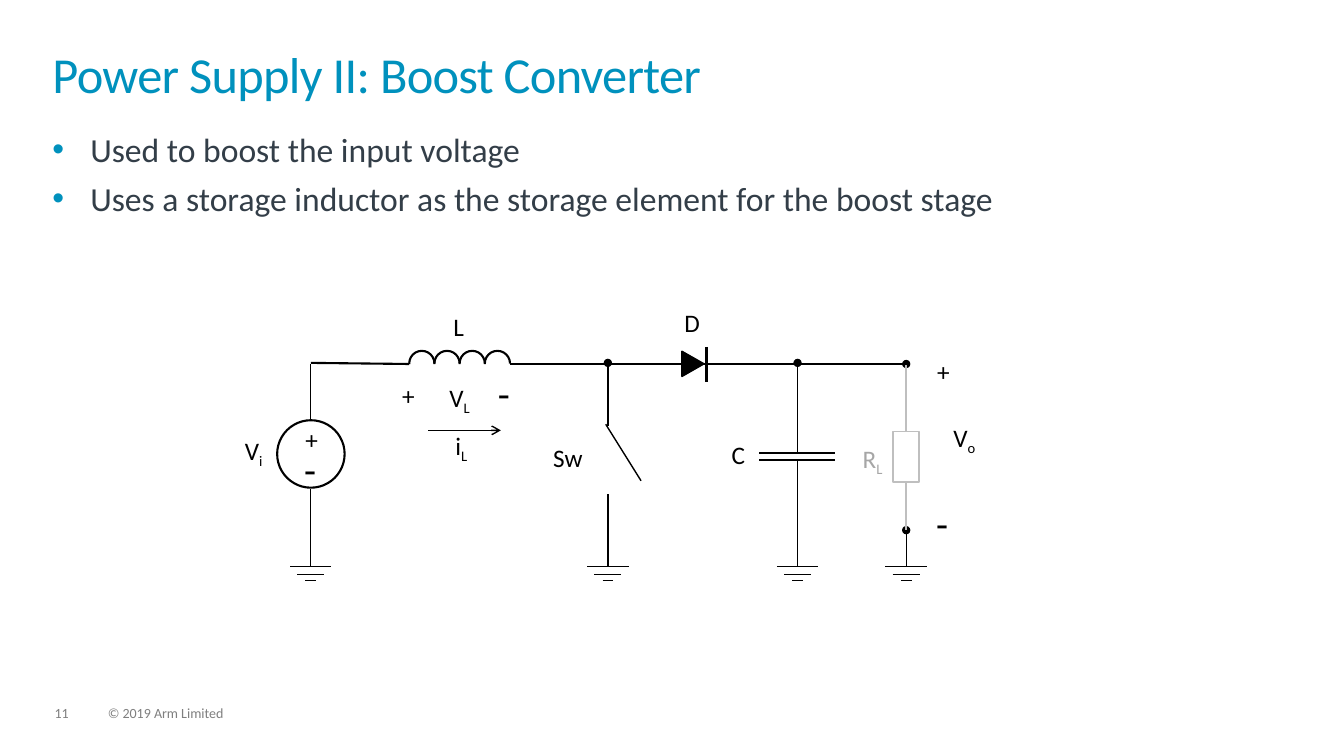
import pptx
import pptx.dml.color
import pptx.enum.shapes
import pptx.oxml.ns
import pptx.util
from lxml import etree

Pt = pptx.util.Pt
SHAPE = pptx.enum.shapes.MSO_SHAPE
qn = pptx.oxml.ns.qn
BLACK, GREY, BLUE = "000000", "BFBFBF", "0091BD"


def rgb(value):
    return pptx.dml.color.RGBColor.from_string(value)


def wire(x1, y1, x2, y2, width=1, color=BLACK, tail=None):
    """Draw a straight line, with an optional end mark at its second point."""
    c = s.shapes.add_connector(
        pptx.enum.shapes.MSO_CONNECTOR.STRAIGHT, Pt(x1), Pt(y1), Pt(x2), Pt(y2))
    c.line.width = Pt(width)
    c.line.color.rgb = rgb(color)
    if tail:
        etree.SubElement(c.line._get_or_add_ln(), qn("a:tailEnd"), type=tail)
    etree.SubElement(c._element.spPr, qn("a:effectLst"))


prs = pptx.Presentation()
prs.slide_width, prs.slide_height = Pt(960), Pt(540)
s = prs.slides.add_slide(prs.slide_layouts[6])

# Title, bullets and footer: text, box, size, colour, line spacing
bullets = "Used to boost the input voltage\nUses a storage inductor as the storage element for the boost stage"
texts = [
    ("Power Supply II: Boost Converter", (37.5, 37.5, 884, 52), 36, BLUE, 0.85),
    (bullets, (37.5, 92, 884, 322), 24, "333E48", 1),
    ("11", (39, 504.7, 24.5, 11), 10, "7F7F7F", 0.9),
    ("© 2019 Arm Limited", (77, 504.7, 123, 11), 10, "7F7F7F", 0.9),
]
for text, box, size, color, spacing in texts:
    tf = s.shapes.add_textbox(*map(Pt, box)).text_frame
    tf.word_wrap = True
    tf.margin_left = tf.margin_right = tf.margin_top = tf.margin_bottom = 0
    tf.text = text
    for i, p in enumerate(tf.paragraphs):
        if text == bullets:
            pPr = p._p.get_or_add_pPr()
            pPr.set("marL", str(Pt(27)))
            pPr.set("indent", str(-Pt(27)))
            buClr = etree.SubElement(pPr, qn("a:buClr"))
            etree.SubElement(buClr, qn("a:srgbClr"), val=BLUE)
            etree.SubElement(pPr, qn("a:buFont"), typeface="Arial")
            etree.SubElement(pPr, qn("a:buChar"), char="•")
        p.line_spacing = spacing
        if i:
            p.space_before = Pt(6)
        r = p.runs[0]
        r.font.name, r.font.size = "Calibri", Pt(size)
        r.font.color.rgb = rgb(color)
        if size == 36:
            r._r.get_or_add_rPr().set("spc", "-50")

# Columns and rail of the circuit
source_x, switch_x, cap_x, load_x = 222, 434.2, 569.7, 647.3
rail_y, ground_y = 260, 404.6

# Outlined parts: preset, box, line colour, line width
parts = [(SHAPE.OVAL, (198, 300.2, 48.2, 48.2), BLACK, 1.5)]
parts += [(SHAPE.ARC, (292.3 + 18 * i, 250.6, 18, 18), BLACK, 1.5) for i in range(4)]
parts += [
    (SHAPE.ISOSCELES_TRIANGLE, (486, 252, 18, 15.8), BLACK, 1),
    (SHAPE.RECTANGLE, (637.9, 308.2, 18.7, 36), GREY, 1),
]
for preset, box, color, width in parts:
    sp = s.shapes.add_shape(preset, *map(Pt, box))
    sp.shadow.inherit = False
    sp.fill.background()
    sp.line.color.rgb = rgb(color)
    sp.line.width = Pt(width)
    if preset == SHAPE.ARC:
        sp.adjustments[0], sp.adjustments[1] = 106.41, 0
    elif preset == SHAPE.ISOSCELES_TRIANGLE:
        sp.rotation = 90
        sp.fill.solid()
        sp.fill.fore_color.rgb = rgb(BLACK)

# Source and rail
wire(source_x, 300.2, source_x, rail_y)
wire(source_x, 259.2, 292.3, rail_y, 1.5)
wire(364.3, rail_y, load_x, rail_y, 1.5, tail="oval")
wire(source_x, ground_y, source_x, 349.2)
# Diode bar
wire(504.7, 247.7, 504.7, 272.9, 1.5)
# Switch
wire(switch_x, 304.6, switch_x, 259.2, tail="oval")
wire(457.9, 343.4, 432.7, 303.1)
wire(switch_x, ground_y, switch_x, 352.8)
# Capacitor
wire(cap_x, 323.3, cap_x, 259.2, tail="oval")
for plate_y in (323.3, 328.3):
    wire(542.2, plate_y, 596.2, plate_y, 1.5)
wire(cap_x, ground_y, cap_x, 328.3)
# Load
wire(load_x, ground_y, load_x, 378.7, tail="oval")
wire(load_x, 308.2, load_x, 260.6, 1.5, GREY)
wire(load_x, 344.2, load_x, 378.7, 1.5, GREY)
# Inductor current
wire(306, 307.4, 357.8, 307.4, tail="arrow")

for x in (source_x, switch_x, cap_x, load_x):
    for half, y in ((14.8, ground_y), (9.6, 410.4), (3.8, 414.7)):
        wire(x - half, y, x + half, y)

# Labels: text, subscript, left, top
labels = [
    ("+", "", 211, 299.5), ("-", "", 210.2, 314.6), ("V", "i", 167.8, 307.4),
    ("V", "L", 313.9, 269.3), ("V", "o", 673.9, 298.1), ("L", "", 316.8, 218.9),
    ("D", "", 481.7, 216), ("C", "", 515.5, 310.3), ("Sw", "", 388.1, 312.5),
    ("+", "", 662.4, 251.3), ("-", "", 661.7, 352.8), ("+", "", 280.1, 267.8),
    ("-", "", 348.5, 260.6), ("R", "L", 609.1, 313.2), ("i", "L", 318.2, 303.8),
]
for text, subscript, x, y in labels:
    size = 28 if text == "-" else 18
    width, height = (31.7, size + 12) if text in "+-" else (41.8, 28.8)
    tf = s.shapes.add_textbox(Pt(x), Pt(y), Pt(width), Pt(height)).text_frame
    tf.word_wrap = True
    p = tf.paragraphs[0]
    p.text = text
    if subscript:
        r = p.add_run()
        r.text = subscript
        r._r.get_or_add_rPr().set("baseline", "-25000")
    for r in p.runs:
        r.font.name, r.font.size = "Calibri", Pt(size)
        r.font.color.rgb = rgb("A6A6A6" if text == "R" else BLACK)

prs.save("out.pptx")
